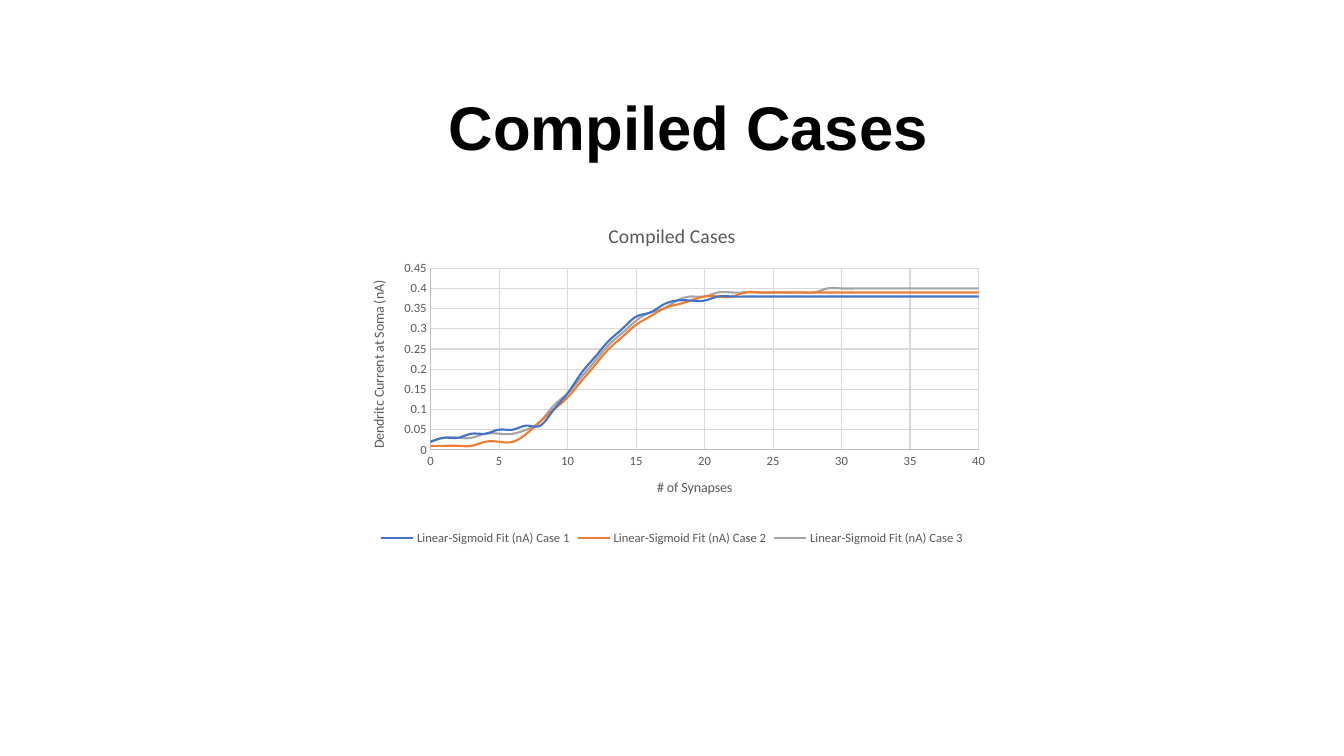
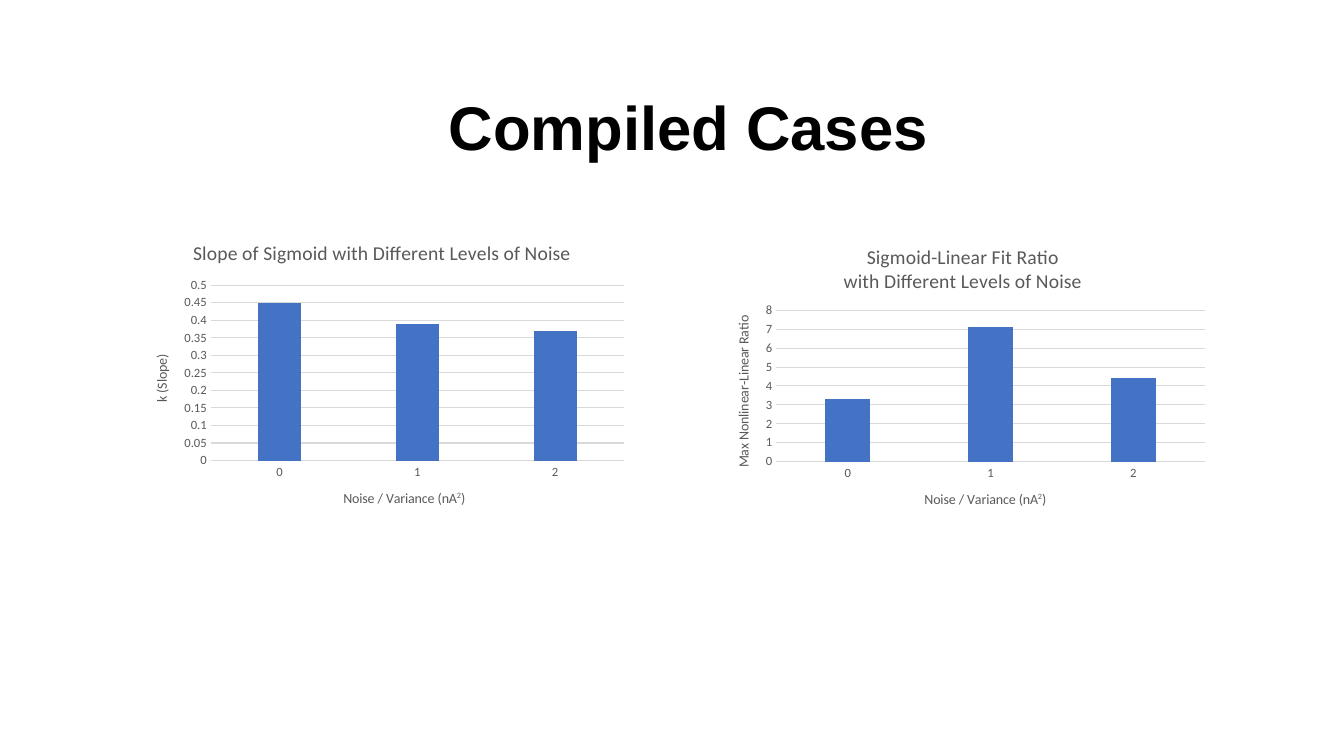
from lxml import etree
from pptx import Presentation, util as u
from pptx.chart.data import CategoryChartData, XyChartData
from pptx.dml.color import RGBColor
from pptx.enum import chart as ch, text
from pptx.oxml.ns import qn

WIDTH, HEIGHT = 13.33, 7.5
INK, GREY, GRID, AXIS = "000000", "595959", "D9D9D9", "BFBFBF"
BLUE, ORANGE, SILVER = "4472C4", "ED7D31", "A5A5A5"
SLIDE_TITLE = "Compiled Cases"
TITLE_BOX = (1.08, 0.57, 11.5, 1.45)
TITLE_FONT = dict(size=u.Pt(44), name="Arial", bold=True)
CHART_FONTS = {
    "title": dict(size=u.Pt(14), name="Calibri", bold=False),
    "axis": dict(size=u.Pt(10), name="Calibri", bold=False),
    "label": dict(size=u.Pt(9), name="Calibri", bold=False),
}
NOISE = [("Noise / Variance (nA", False), ("2", True), (")", False)]
LEVELS = ["0", "1", "2"]

FITS = [
    ("Linear-Sigmoid Fit (nA) Case 1", BLUE,
     [0.02, 0.03, 0.03, 0.04, 0.04, 0.05, 0.05, 0.06, 0.06, 0.1, 0.14, 0.19, 0.23, 0.27,
      0.3, 0.33, 0.34, 0.36, 0.37, 0.37, 0.37] + [0.38] * 20),
    ("Linear-Sigmoid Fit (nA) Case 2", ORANGE,
     [0.01, 0.01, 0.01, 0.01, 0.02, 0.02, 0.02, 0.04, 0.07, 0.1, 0.13, 0.17, 0.21, 0.25,
      0.28, 0.31, 0.33, 0.35, 0.36, 0.37, 0.38, 0.38, 0.38] + [0.39] * 18),
    ("Linear-Sigmoid Fit (nA) Case 3", SILVER,
     [0.02, 0.03, 0.03, 0.03, 0.04, 0.04, 0.04, 0.05, 0.07, 0.11, 0.14, 0.18, 0.22, 0.26,
      0.29, 0.32, 0.34, 0.35, 0.37, 0.38, 0.38] + [0.39] * 8 + [0.4] * 12),
]

PAGES = [
    [dict(kind="scatter", box=(3.43, 2.05, 6.47, 3.4), plot=(0.13, 0.18, 0.84, 0.53),
          title=["Compiled Cases"], across=[("# of Synapses", False)],
          up="Dendritc Current at Soma (nA)", top=0.45, step=0.05, series=FITS)],
    [dict(kind="column", box=(1.29, 2.23, 5, 3), plot=(0.16, 0.2, 0.82, 0.58),
          title=["Slope of Sigmoid with Different Levels of Noise"], across=NOISE,
          up="k (Slope)", top=0.5, step=0.05,
          series=[("Series 1", BLUE, [0.45, 0.39, 0.37])]),
     dict(kind="column", box=(7.05, 2.27, 5, 3), plot=(0.13, 0.27, 0.85, 0.5),
          title=["Sigmoid-Linear Fit Ratio", "with Different Levels of Noise"], across=NOISE,
          up="Max Nonlinear-Linear Ratio", top=8, step=1,
          series=[("Series 1", BLUE, [3.3, 7.1, 4.4])])],
]


def color(value):
    return RGBColor.from_string(value)


def assign(target, values):
    for name, value in values.items():
        setattr(target, name, value)


def style_font(font, values, ink):
    assign(font, values)
    font.color.rgb = color(ink)


def style_line(line, ink, width=0.75):
    line.color.rgb = color(ink)
    line.width = u.Pt(width)


def write_title(frame, lines, role):
    for index, spans in enumerate(lines):
        para = frame.add_paragraph() if index else frame.paragraphs[0]
        for words, raised in spans:
            span = para.add_run()
            span.text = words
            style_font(span.font, CHART_FONTS[role], GREY)
            if raised:
                span._r.get_or_add_rPr().set("baseline", "30000")


def place_plot(chart, shares):
    area = chart._chartSpace.chart.plotArea
    for old in area.findall(qn("c:layout")):
        area.remove(old)
    layout = etree.Element(qn("c:layout"))
    manual = etree.SubElement(layout, qn("c:manualLayout"))
    settings = [("layoutTarget", "inner"), ("xMode", "edge"), ("yMode", "edge")]
    for name, value in settings + list(zip("xywh", shares)):
        etree.SubElement(manual, qn("c:" + name)).set("val", str(value))
    area.insert(0, layout)


def style_axes(chart, item, scatter):
    across, up = chart.category_axis, chart.value_axis
    assign(up, dict(minimum_scale=0, maximum_scale=item["top"], major_unit=item["step"]))
    if scatter:
        assign(across, dict(minimum_scale=0, maximum_scale=40, major_unit=5))
    for axis, spans, grid in ((across, item["across"], scatter), (up, [(item["up"], False)], True)):
        assign(axis, dict(major_tick_mark=ch.XL_TICK_MARK.NONE,
                          minor_tick_mark=ch.XL_TICK_MARK.NONE,
                          has_major_gridlines=grid, has_title=True))
        style_font(axis.tick_labels.font, CHART_FONTS["label"], GREY)
        assign(axis.tick_labels, dict(number_format="General", number_format_is_linked=False))
        write_title(axis.axis_title.text_frame, [spans], "axis")
        if grid:
            style_line(axis.major_gridlines.format.line, GRID)
        style_line(axis.format.line, AXIS if scatter else GRID)
    up.axis_title.text_frame._txBody.bodyPr.set("rot", "-5400000")
    if not scatter:
        up.format.line.fill.background()


def add_chart(page, item):
    scatter = item["kind"] == "scatter"
    if scatter:
        kind, data = ch.XL_CHART_TYPE.XY_SCATTER_SMOOTH_NO_MARKERS, XyChartData()
        for name, _, values in item["series"]:
            series = data.add_series(name)
            for synapses, current in enumerate(values):
                series.add_data_point(synapses, current)
    else:
        kind, data = ch.XL_CHART_TYPE.COLUMN_CLUSTERED, CategoryChartData()
        data.categories = LEVELS
        for name, _, values in item["series"]:
            data.add_series(name, values)
    chart = page.shapes.add_chart(kind, *map(u.Inches, item["box"]), data).chart
    style_font(chart.font, CHART_FONTS["label"], GREY)
    assign(chart, dict(has_title=True, has_legend=scatter))
    write_title(chart.chart_title.text_frame, [[(line, False)] for line in item["title"]], "title")
    style_axes(chart, item, scatter)
    place_plot(chart, item["plot"])
    plot = chart.plots[0]
    plot.vary_by_categories = False
    for series, (_, ink, _) in zip(plot.series, item["series"]):
        if scatter:
            style_line(series.format.line, ink, 1.5)
            series.marker.style = ch.XL_MARKER_STYLE.NONE
            smooth = series._element.get_or_add_smooth()
            smooth.val = True
        else:
            series.format.fill.solid()
            series.format.fill.fore_color.rgb = color(ink)
    if scatter:
        assign(chart.legend, dict(position=ch.XL_LEGEND_POSITION.BOTTOM, include_in_layout=False))
        style_font(chart.legend.font, CHART_FONTS["label"], GREY)
    else:
        assign(plot, dict(gap_width=219, overlap=-27))


def add_slide_title(page):
    frame = page.shapes.add_textbox(*map(u.Inches, TITLE_BOX)).text_frame
    assign(frame, dict(word_wrap=True, vertical_anchor=text.MSO_ANCHOR.MIDDLE))
    para = frame.paragraphs[0]
    assign(para, dict(alignment=text.PP_ALIGN.CENTER, line_spacing=0.9))
    span = para.add_run()
    span.text = SLIDE_TITLE
    style_font(span.font, TITLE_FONT, INK)


def main():
    deck = Presentation()
    assign(deck, dict(slide_width=u.Inches(WIDTH), slide_height=u.Inches(HEIGHT)))
    for items in PAGES:
        page = deck.slides.add_slide(deck.slide_layouts[6])
        for item in items:
            add_chart(page, item)
        add_slide_title(page)
    deck.save("out.pptx")


if __name__ == "__main__":
    main()
